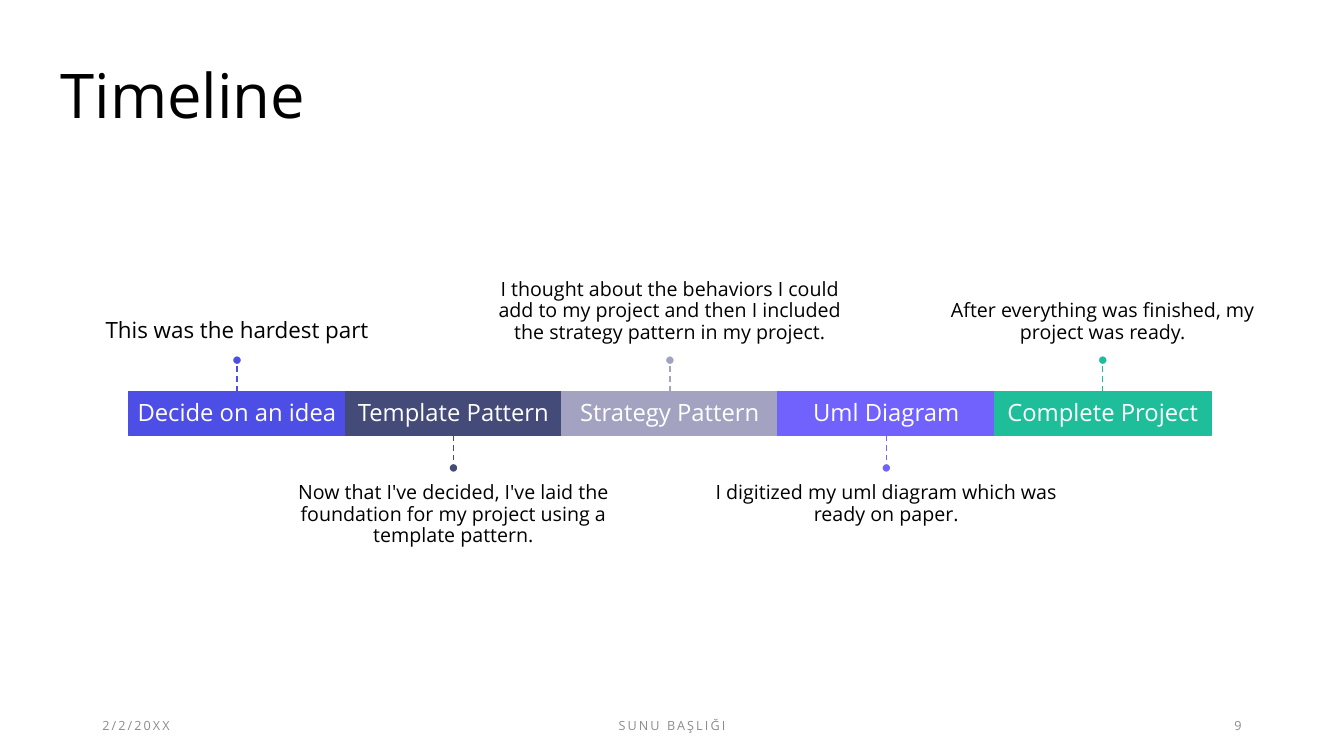
"""Builds a five-step project timeline slide."""
from lxml import etree
from pptx import Presentation
from pptx.dml.color import RGBColor
from pptx.enum.dml import MSO_LINE
from pptx.enum.shapes import MSO_CONNECTOR, MSO_SHAPE
from pptx.enum.text import MSO_ANCHOR, MSO_AUTO_SIZE, PP_ALIGN
from pptx.oxml.ns import qn
from pptx.util import Pt

LEFT, CENTER, RIGHT = PP_ALIGN.LEFT, PP_ALIGN.CENTER, PP_ALIGN.RIGHT
TOP, MIDDLE, BOTTOM = MSO_ANCHOR.TOP, MSO_ANCHOR.MIDDLE, MSO_ANCHOR.BOTTOM
RECTANGLE, OVAL = MSO_SHAPE.RECTANGLE, MSO_SHAPE.OVAL
STRAIGHT, DASH = MSO_CONNECTOR.STRAIGHT, MSO_LINE.DASH
FIXED = MSO_AUTO_SIZE.NONE


def color(value):
    return RGBColor.from_string(value)


def write(shape, text, size, ink, align, anchor, insets, spacing=0.9):
    frame = shape.text_frame
    frame.text = text
    frame.word_wrap = True
    frame.auto_size = FIXED
    frame.vertical_anchor = anchor
    frame.margin_left = frame.margin_right = Pt(insets[0])
    frame.margin_top = frame.margin_bottom = Pt(insets[1])
    para = frame.paragraphs[0]
    para.alignment = align
    para.line_spacing = spacing
    span = para.runs[0]
    span.font.name = "Open Sans"
    span.font.size = Pt(size)
    span.font.color.rgb = color(ink)
    return span


deck = Presentation()
deck.slide_width, deck.slide_height = Pt(960), Pt(540)
page = deck.slides.add_slide(deck.slide_layouts[5])

title = page.shapes.title
title.left, title.top, title.width, title.height = Pt(36), Pt(43.2), Pt(885), Pt(65.5)
write(title, "Timeline", 44, "000000", LEFT, TOP, (7.2, 3.6))

footers = [
    ("2/2/20XX", 66, 216, LEFT),
    ("SUNU BAŞLIĞI", 318, 324, CENTER),
    ("9", 678, 216, RIGHT),
]
for text, left, width, align in footers:
    box = page.shapes.add_textbox(Pt(left), Pt(504), Pt(width), Pt(28.8))
    span = write(box, text, 9, "8C8C8C", align, MIDDLE, (7.2, 3.6), 1.0)
    span.font._element.set("spc", "150")

steps = [
    ("Decide on an idea", "4D4EE6", "This was the hardest part", 16, 258),
    ("Template Pattern", "454B78", "Now that I've decided, I've laid the foundation "
     "for my project using a template pattern.", 14, 237),
    ("Strategy Pattern", "A3A3C1", "I thought about the behaviors I could add to my "
     "project and then I included the strategy pattern in my project.", 14, 258),
    ("Uml Diagram", "7162FE", "I digitized my uml diagram which was ready on paper.", 14, 258),
    ("Complete Project", "1EBE9B", "After everything was finished, my project was ready.",
     14, 258),
]
bar_left, bar_top, bar_width, bar_height = 92, 279.5, 154.6, 31.5
pin_length, dot_size, note_height = 25.5, 6.5, 110

for index, (name, tint, note, note_size, note_width) in enumerate(steps):
    left = bar_left + index * bar_width
    middle = left + bar_width / 2
    if index % 2 == 0:
        pin_start, pin_end = bar_top, bar_top - pin_length
        dot_top, note_top, note_anchor = pin_end, 137.5, BOTTOM
    else:
        pin_start = bar_top + bar_height
        pin_end = pin_start + pin_length
        dot_top, note_top, note_anchor = pin_end - dot_size + 1, 342.7, TOP

    bar = page.shapes.add_shape(RECTANGLE, Pt(left), Pt(bar_top), Pt(bar_width), Pt(bar_height))
    write(bar, name, 17, "FFFFFF", CENTER, MIDDLE, (3, 0))

    box = page.shapes.add_textbox(Pt(middle - note_width / 2), Pt(note_top),
                                  Pt(note_width), Pt(note_height))
    write(box, note, note_size, "000000", CENTER, note_anchor, (4.5, 2.25))

    pin = page.shapes.add_connector(STRAIGHT, Pt(middle), Pt(pin_start), Pt(middle), Pt(pin_end))
    pin.line.color.rgb = color(tint)
    pin.line.width = Pt(1)
    pin.line.dash_style = DASH
    etree.SubElement(pin._element.spPr, qn("a:effectLst"))

    dot = page.shapes.add_shape(OVAL, Pt(middle - dot_size / 2), Pt(dot_top),
                                Pt(dot_size), Pt(dot_size))
    for shape, edge in ((bar, tint), (dot, "FFFFFF")):
        shape.shadow.inherit = False
        shape.fill.solid()
        shape.fill.fore_color.rgb = color(tint)
        shape.line.color.rgb = color(edge)
        shape.line.width = Pt(1)

deck.save("out.pptx")
